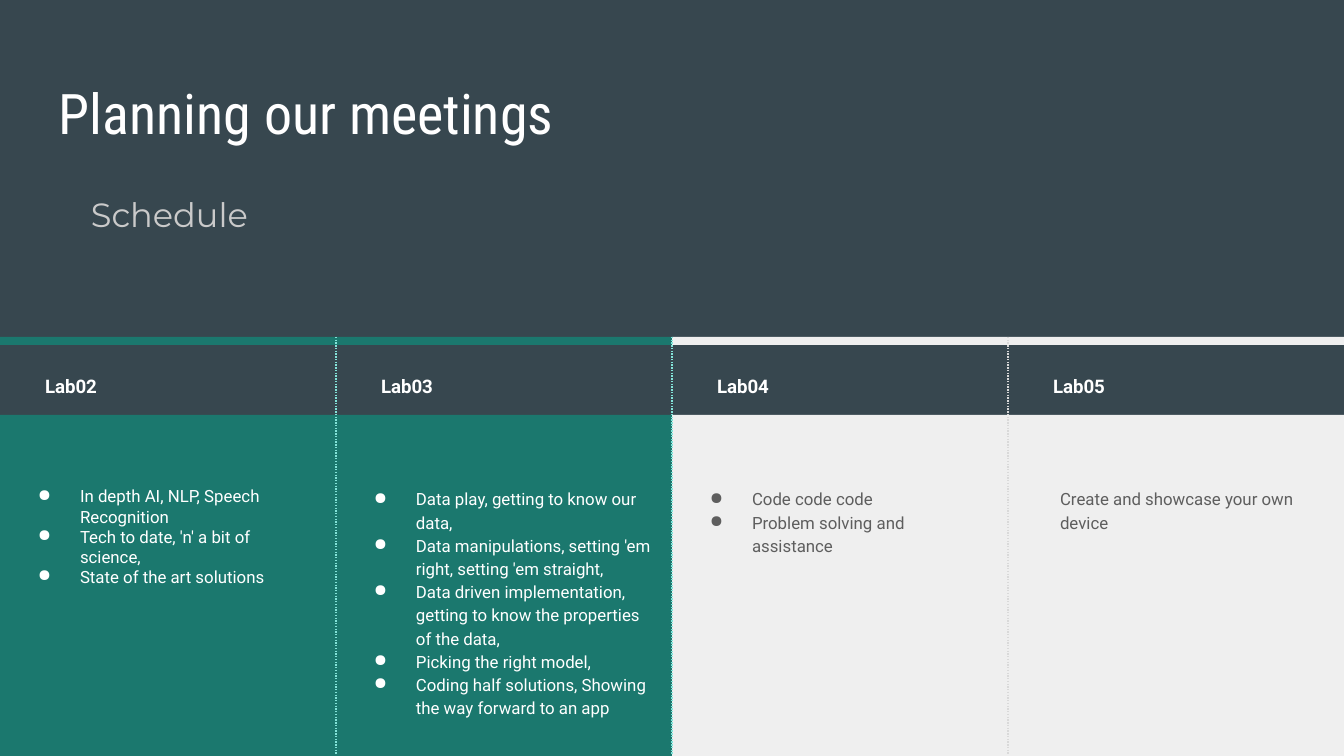
from lxml.etree import SubElement
from pptx import Presentation
from pptx.dml.color import RGBColor
from pptx.enum.dml import MSO_LINE
from pptx.enum.shapes import MSO_CONNECTOR, MSO_SHAPE
from pptx.oxml.ns import qn
from pptx.util import Emu, Pt

SCALE = 914400 / 134.4
WIDE, HIGH = 1344, 756
COLS = 4
STEP = WIDE // COLS
TOP = 337

HEX = {
    "slate": "37474F", "white": "FFFFFF", "silver": "CACACA",
    "teal": "1B786E", "mint": "83E3D9",
    "pale": "EFEFEF", "mist": "D9D9D9", "grey": "5E5E5E",
}

TEAL = {"fill": "teal", "ink": "white", "rule": "mint"}
PALE = {"fill": "pale", "ink": "grey", "rule": "mist"}

LABS = [
    {"name": "Lab02", "look": TEAL, "wide": 304, "lead": 1.0, "items": [
        "In depth AI, NLP, Speech Recognition",
        "Tech to date, 'n' a bit of science,",
        "State of the art solutions"]},
    {"name": "Lab03", "look": TEAL, "wide": 336, "items": [
        "Data play, getting to know our data,",
        "Data manipulations, setting 'em right, setting 'em straight,",
        "Data driven implementation, getting to know the properties of the data,",
        "Picking the right model,",
        "Coding half solutions, Showing the way forward to an app"]},
    {"name": "Lab04", "look": PALE, "wide": 304, "items": [
        "Code code code",
        "Problem solving and assistance"]},
    {"name": "Lab05", "look": PALE, "wide": 273, "shift": 39, "dots": False,
     "items": ["Create and showcase your own device"]},
]


def px(num):
    return Emu(round(num * SCALE))


def color(name):
    return RGBColor.from_string(HEX[name])


class Deck:
    def __init__(self):
        self.file = Presentation()
        self.file.slide_width, self.file.slide_height = px(WIDE), px(HIGH)
        self.slide = self.file.slides.add_slide(self.file.slide_layouts[6])
        back = self.slide.background.fill
        back.solid()
        back.fore_color.rgb = color("slate")

    def block(self, x, y, w, h, fill):
        shape = self.slide.shapes.add_shape(
            MSO_SHAPE.RECTANGLE, px(x), px(y), px(w), px(h))
        shape.shadow.inherit = False
        shape.fill.solid()
        shape.fill.fore_color.rgb = color(fill)
        shape.line.fill.background()

    def rule(self, x, y, end, ink):
        line = self.slide.shapes.add_connector(
            MSO_CONNECTOR.STRAIGHT, px(x), px(y), px(x), px(end))
        SubElement(line._element.spPr, qn("a:effectLst"))
        line.line.color.rgb = color(ink)
        line.line.width = Pt(0.75)
        line.line.dash_style = MSO_LINE.ROUND_DOT

    def bullet(self, para, ink):
        props = para._p.get_or_add_pPr()
        props.set("marL", str(px(67)))
        props.set("indent", str(px(-42)))
        tint = SubElement(props, qn("a:buClr"))
        SubElement(tint, qn("a:srgbClr"), val=HEX[ink])
        SubElement(props, qn("a:buChar"), char="●")

    def text(self, x, y, w, h, lines, size, ink, face="Roboto",
             bold=False, lead=1.15, dots=False):
        frame = self.slide.shapes.add_textbox(
            px(x), px(y), px(w), px(h)).text_frame
        frame.word_wrap = True
        frame.margin_left = frame.margin_right = px(13)
        frame.margin_top = frame.margin_bottom = px(13)
        for i, line in enumerate(lines):
            para = frame.add_paragraph() if i else frame.paragraphs[0]
            if dots:
                self.bullet(para, ink)
            para.line_spacing = lead
            run = para.add_run()
            run.text = line
            font = run.font
            font.name, font.size, font.bold = face, Pt(size), bold
            font.color.rgb = color(ink)

    def lab(self, x, name, look, wide, items, lead=1.15, shift=0, dots=True):
        """One schedule column: panel, top strip, heading and items."""
        self.block(x, 415, STEP, HIGH - 415, look["fill"])
        self.block(x, TOP, STEP, 8, look["fill"])
        self.text(x + 32, 359, 128, 38, [name], 10, "white", bold=True)
        self.text(x + shift, 473, wide, 146, items, 9, look["ink"],
                  lead=lead, dots=dots)
        if x + STEP < WIDE:
            self.rule(x + STEP, TOP, 754, look["rule"])


def main():
    deck = Deck()
    deck.text(46, 66, 1253, 85, ["Planning our meetings"], 30, "white",
              "Roboto Condensed", lead=1.0)
    deck.text(78, 175, 1188, 85, ["Schedule"], 18, "silver", "Montserrat")
    # Right to left, so each dotted rule lies over the column after it
    for i in reversed(range(COLS)):
        deck.lab(i * STEP, **LABS[i])
    deck.file.save("out.pptx")


if __name__ == "__main__":
    main()
